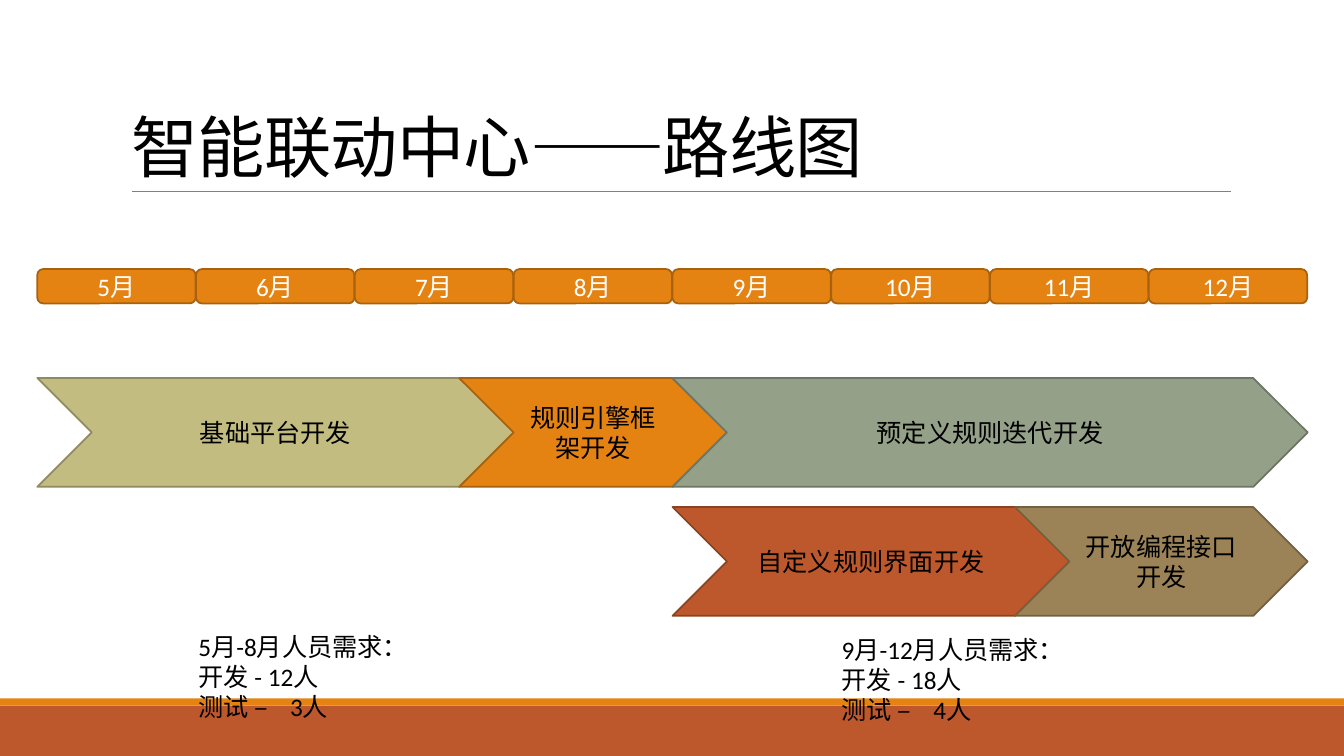
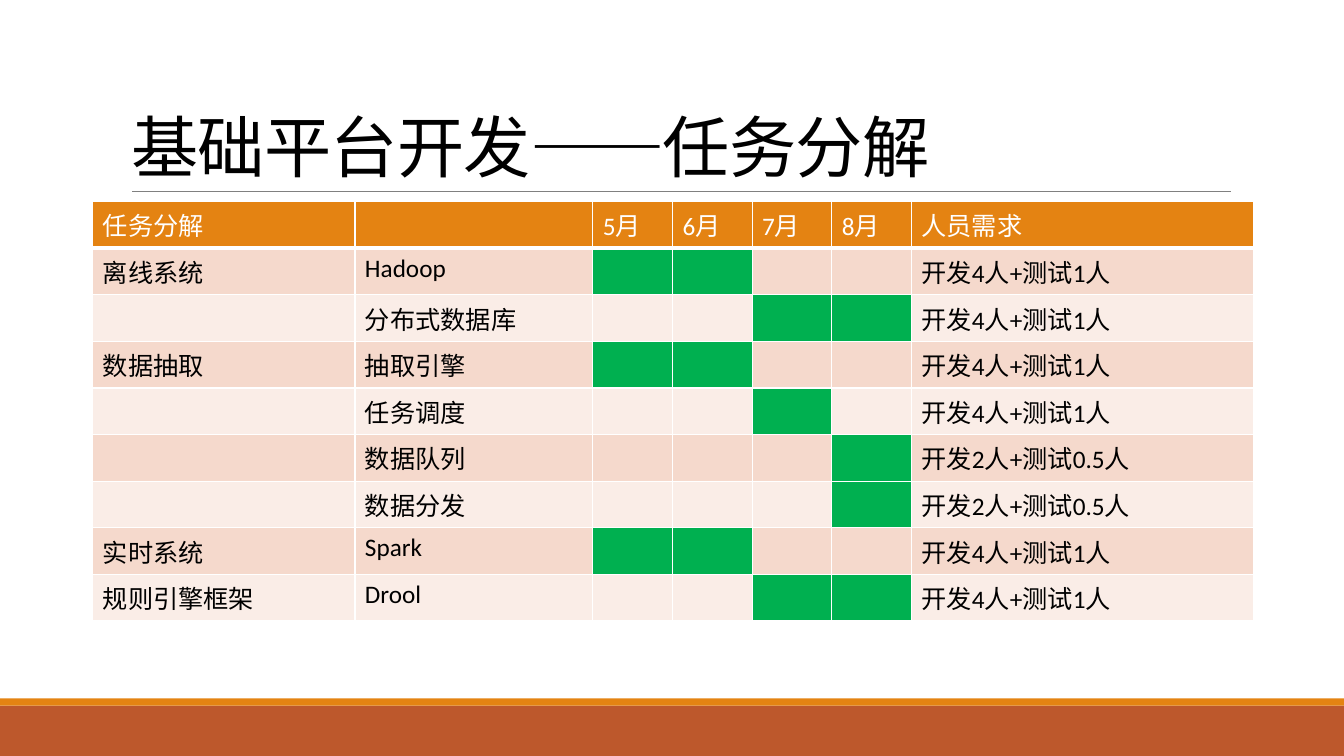
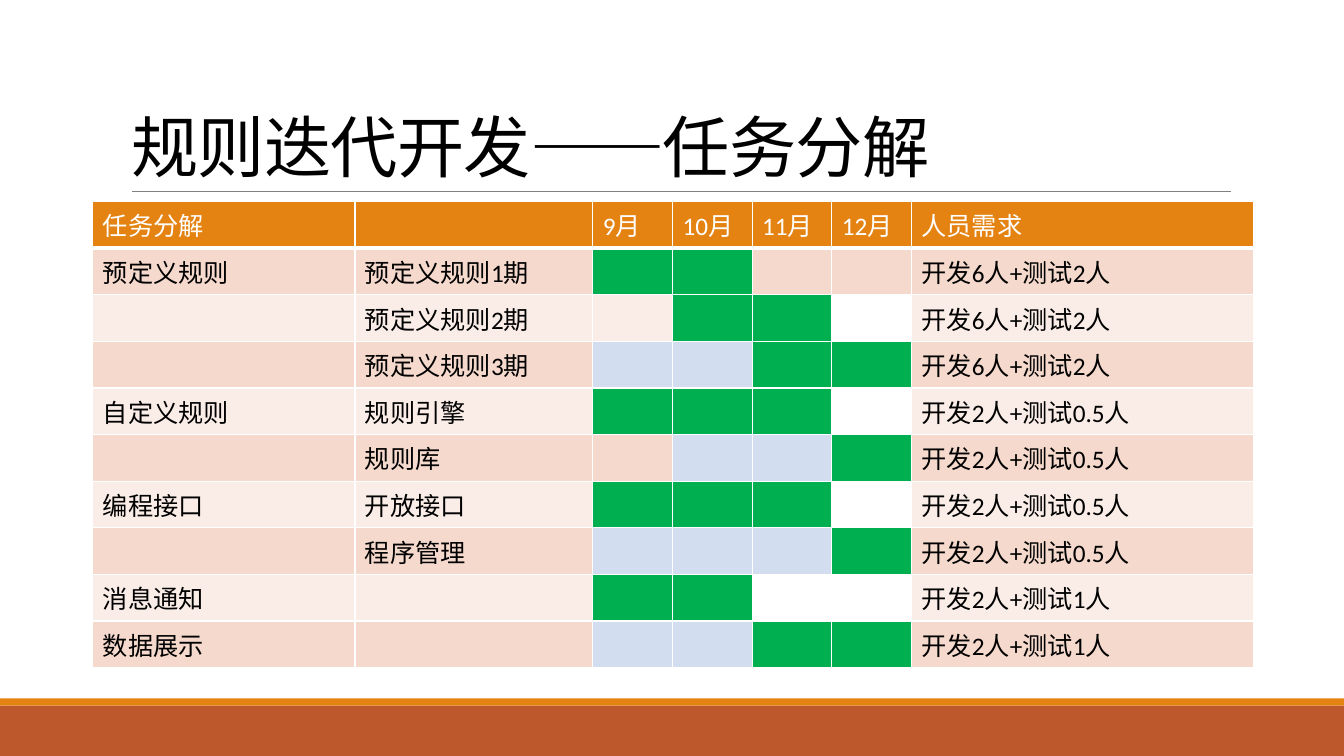
import lxml.etree
import pptx
import pptx.dml.color
import pptx.enum.shapes
import pptx.enum.text
import pptx.oxml
import pptx.oxml.ns
import pptx.util

Inches = pptx.util.Inches
SHAPES = pptx.enum.shapes.MSO_SHAPE
ALIGN = pptx.enum.text.PP_ALIGN
ANCHOR = pptx.enum.text.MSO_ANCHOR

WIDTH, HEIGHT = 13.33, 7.5
FONT = "Calibri"
COLORS = {
    "black": "000000", "white": "FFFFFF", "gray": "808080",
    "orange": "E48312", "orange_edge": "A9610D",
    "rust": "BD582C", "rust_edge": "8C4121",
    "olive": "C2BC80", "olive_edge": "908B5F",
    "sage": "94A088", "sage_edge": "6D7665",
    "brown": "9B8357", "brown_edge": "736140",
    "dark_band": "F5D9CC", "light_band": "FAEDE7",
    "green": "00B050", "blue": "D2DEEF",
}

# Roadmap grid: one column for each month
MONTHS = [f"{month}月" for month in range(5, 13)]
GRID_LEFT, MONTH_WIDTH = 0.37, 1.575
CHEVRON_HEIGHT = 1.08
POINT = CHEVRON_HEIGHT / 2
ROW_TOPS = [3.75, 5.03]

# Task tables
COLUMN_WIDTHS = [2.6, 2.36] + [0.79] * 4 + [3.39]
ROW_HEIGHT = 0.41


def rgb(name):
    return pptx.dml.color.RGBColor.from_string(COLORS[name])


def month_left(column):
    return GRID_LEFT + column * MONTH_WIDTH


def write(para, text, size=18, color="black", align=ALIGN.LEFT,
          line_spacing=1.0, tracking=None, tab_stop=None):
    """Add one run to a paragraph; tracking is in points, tab_stop in inches."""
    para.alignment = align
    para.line_spacing = line_spacing
    span = para.add_run()
    span.text = text
    span.font.name = FONT
    span.font.size = pptx.util.Pt(size)
    span.font.bold = False
    span.font.color.rgb = rgb(color)
    if tracking:
        span.font._element.set("spc", str(int(tracking * 100)))
    if tab_stop:
        stops = pptx.oxml.parse_xml(
            f'<a:tabLst {pptx.oxml.ns.nsdecls("a")}>'
            f'<a:tab pos="{Inches(tab_stop)}" algn="l"/></a:tabLst>')
        para._p.get_or_add_pPr().append(stops)


def draw_borders(cell, bottom=1):
    """White borders of 1 point, with a bottom one of its own width."""
    properties = cell._tc.get_or_add_tcPr()
    for side, points in (("L", 1), ("R", 1), ("T", 1), ("B", bottom)):
        properties.append(pptx.oxml.parse_xml(
            f'<a:ln{side} {pptx.oxml.ns.nsdecls("a")} w="{pptx.util.Pt(points)}">'
            f'<a:solidFill><a:srgbClr val="{COLORS["white"]}"/></a:solidFill>'
            f'</a:ln{side}>'))


class Roadmap:
    """Holds the deck, its style and the current page."""

    def __init__(self):
        self.deck = pptx.Presentation()
        self.deck.slide_width = Inches(WIDTH)
        self.deck.slide_height = Inches(HEIGHT)
        self.page = None

    def start_page(self, title):
        self.page = self.deck.slides.add_slide(self.deck.slide_layouts[5])
        self.shape(SHAPES.RECTANGLE, 0, 7, WIDTH, 0.5, "rust")
        self.shape(SHAPES.RECTANGLE, 0, 6.93, WIDTH, 0.07, "orange")
        self.rule(1.31, 12.21, 1.9)
        box = self.page.shapes.title
        box.left, box.top, box.width, box.height = map(Inches, (1.2, 0.31, 11, 1.59))
        frame = box.text_frame
        frame.auto_size = pptx.enum.text.MSO_AUTO_SIZE.NONE
        frame.vertical_anchor = ANCHOR.BOTTOM
        write(frame.paragraphs[0], title, size=48, line_spacing=0.85, tracking=-0.5)

    def rule(self, left, right, top):
        line = self.page.shapes.add_connector(
            pptx.enum.shapes.MSO_CONNECTOR.STRAIGHT,
            *map(Inches, (left, top, right, top)))
        line.line.color.rgb = rgb("gray")
        line.line.width = pptx.util.Pt(0.5)
        lxml.etree.SubElement(line._element.spPr, pptx.oxml.ns.qn("a:effectLst"))

    def shape(self, kind, left, top, width, height, fill, text=None, color="black"):
        """A filled shape; one with text also gets a darker edge."""
        box = self.page.shapes.add_shape(kind, *map(Inches, (left, top, width, height)))
        box.shadow.inherit = False
        box.fill.solid()
        box.fill.fore_color.rgb = rgb(fill)
        if text is None:
            box.line.fill.background()
            return
        box.line.color.rgb = rgb(fill + "_edge")
        box.line.width = pptx.util.Pt(1.25)
        box.text_frame.vertical_anchor = ANCHOR.MIDDLE
        write(box.text_frame.paragraphs[0], text, color=color, align=ALIGN.CENTER)

    def month(self, column, text):
        self.shape(SHAPES.ROUNDED_RECTANGLE, month_left(column), 2.67,
                   1.57, 0.34, "orange", text, "white")

    def chevron(self, row, start, end, fill, text, tuck=0, reach=0):
        """Span month columns; tuck and reach count arrow points added at the ends."""
        left = month_left(start) - tuck * POINT
        right = month_left(end) + reach * POINT
        self.shape(SHAPES.CHEVRON, left, ROW_TOPS[row], right - left,
                   CHEVRON_HEIGHT, fill, text)

    def staffing(self, left, top, lines):
        box = self.page.shapes.add_textbox(*map(Inches, (left, top, 2.9, 1.01)))
        frame = box.text_frame
        frame.word_wrap = True
        frame.auto_size = pptx.enum.text.MSO_AUTO_SIZE.SHAPE_TO_FIT_TEXT
        for index, text in enumerate(lines):
            para = frame.add_paragraph() if index else frame.paragraphs[0]
            write(para, text, tab_stop=0.91 if "\t" in text else None)

    def task_table(self, months, tasks):
        """Each task is (group, name, marks, staff), with one mark for each month:
        G is busy, b is blue, o is unfilled and . keeps the band colour."""
        table = self.page.shapes.add_table(
            len(tasks) + 1, len(COLUMN_WIDTHS),
            *map(Inches, (0.92, 2, sum(COLUMN_WIDTHS), ROW_HEIGHT * (len(tasks) + 1)))
        ).table
        for column, width in zip(table.columns, COLUMN_WIDTHS):
            column.width = Inches(width)
        for row in table.rows:
            row.height = Inches(ROW_HEIGHT)
        header = ["任务分解", "", *months, "人员需求"]
        for column, text in enumerate(header):
            self.cell(table.cell(0, column), text, "orange", "white", bottom=3)
        for row, (group, name, marks, staff) in enumerate(tasks, 1):
            band = "dark_band" if row % 2 else "light_band"
            mark_fills = {"G": "green", "b": "blue", "o": None, ".": band}
            fills = [band, band, *(mark_fills[mark] for mark in marks), band]
            texts = [group, name, *[""] * len(marks), staff]
            for column, (text, fill) in enumerate(zip(texts, fills)):
                self.cell(table.cell(row, column), text, fill)

    def cell(self, cell, text, fill, color="black", bottom=1):
        draw_borders(cell, bottom)
        if fill:
            cell.fill.solid()
            cell.fill.fore_color.rgb = rgb(fill)
        else:
            cell.fill.background()
        if text:
            write(cell.text_frame.paragraphs[0], text, color=color)


def staff(developers, testers):
    return f"开发{developers}人+测试{testers}人"


def main():
    roadmap = Roadmap()

    roadmap.start_page("智能联动中心——路线图")
    roadmap.chevron(0, 0, 3, "olive", "基础平台开发")
    roadmap.chevron(0, 3, 4, "orange", "规则引擎框架开发", tuck=1, reach=1)
    roadmap.chevron(0, 4, 8, "sage", "预定义规则迭代开发")
    roadmap.chevron(1, 4, 6.5, "rust", "自定义规则界面开发")
    roadmap.chevron(1, 6.5, 8, "brown", "开放编程接口开发", tuck=1)
    for column, text in enumerate(MONTHS):
        roadmap.month(column, text)
    roadmap.staffing(1.87, 6.21, ["5月-8月人员需求：", "开发 - 12人", "测试 –\t3人"])
    roadmap.staffing(8.25, 6.24, ["9月-12月人员需求：", "开发 - 18人", "测试 –\t4人"])

    roadmap.start_page("基础平台开发——任务分解")
    roadmap.task_table(MONTHS[:4], [
        ("离线系统", "Hadoop", "GG..", staff(4, 1)),
        ("", "分布式数据库", "..GG", staff(4, 1)),
        ("数据抽取", "抽取引擎", "GG..", staff(4, 1)),
        ("", "任务调度", "..G.", staff(4, 1)),
        ("", "数据队列", "...G", staff(2, 0.5)),
        ("", "数据分发", "...G", staff(2, 0.5)),
        ("实时系统", "Spark", "GG..", staff(4, 1)),
        ("规则引擎框架", "Drool", "..GG", staff(4, 1)),
    ])

    roadmap.start_page("规则迭代开发——任务分解")
    roadmap.task_table(MONTHS[4:], [
        ("预定义规则", "预定义规则1期", "GG..", staff(6, 2)),
        ("", "预定义规则2期", ".GGo", staff(6, 2)),
        ("", "预定义规则3期", "bbGG", staff(6, 2)),
        ("自定义规则", "规则引擎", "GGGo", staff(2, 0.5)),
        ("", "规则库", ".bbG", staff(2, 0.5)),
        ("编程接口", "开放接口", "GGGo", staff(2, 0.5)),
        ("", "程序管理", "bbbG", staff(2, 0.5)),
        ("消息通知", "", "GGoo", staff(2, 1)),
        ("数据展示", "", "bbGG", staff(2, 1)),
    ])

    roadmap.deck.save("out.pptx")


if __name__ == "__main__":
    main()
